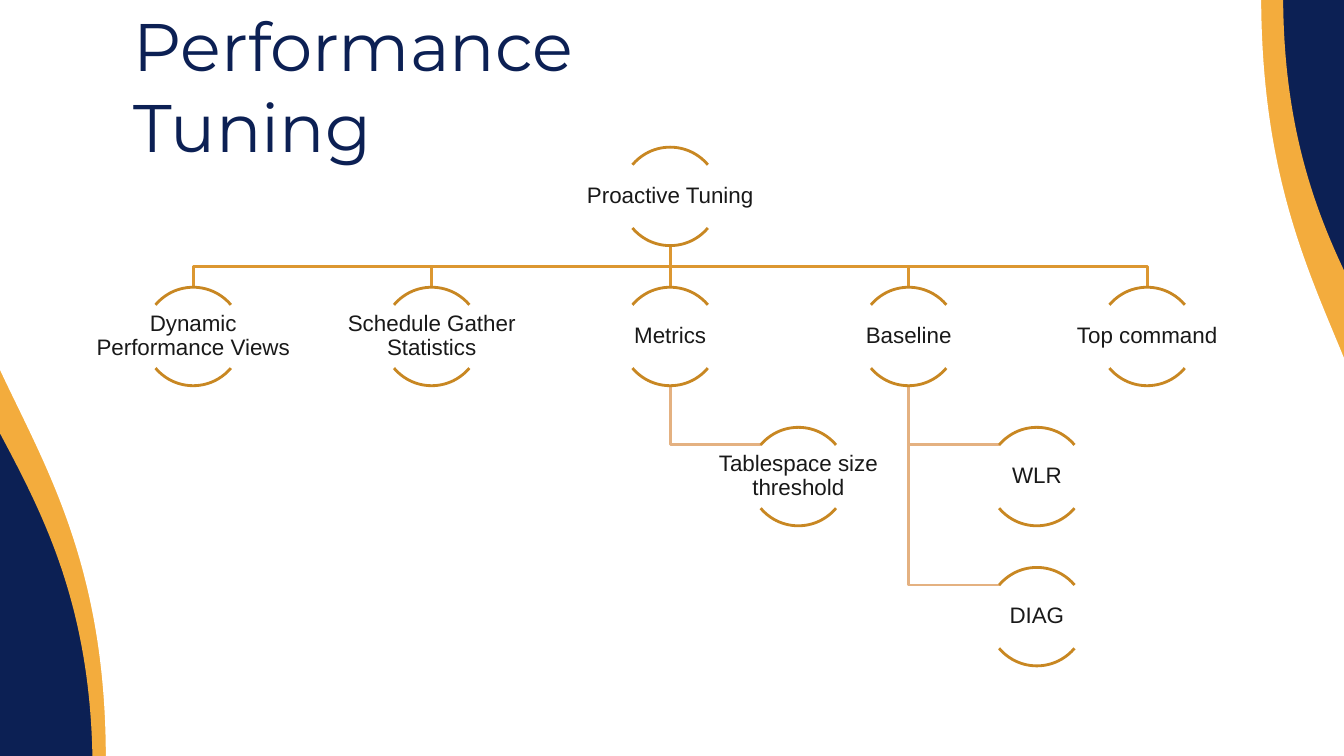
from dataclasses import dataclass

from pptx import Presentation
from pptx.dml.color import RGBColor
from pptx.enum.shapes import MSO_CONNECTOR, MSO_SHAPE as Preset
from pptx.enum.text import MSO_ANCHOR as Anchor, PP_ALIGN as Align
from pptx.oxml.ns import qn
from pptx.util import Cm, Pt
from lxml.etree import SubElement

TITLE = "Performance Tuning"
ROOT = "Proactive Tuning"
BRANCHES = [
    ("Dynamic Performance Views", []),
    ("Schedule Gather Statistics", []),
    ("Metrics", ["Tablespace size threshold"]),
    ("Baseline", ["WLR", "DIAG"]),
    ("Top command", []),
]


@dataclass(frozen=True)
class Theme:
    navy: str = "0C2054"
    gold: str = "F3AC3D"
    white: str = "FFFFFF"
    ink: str = "191919"
    arc: str = "C88722"
    branch_line: str = "DC9731"
    leaf_line: str = "E4B181"
    title_font: str = "Montserrat"
    body_font: str = "Arial"
    title_size: int = 48
    body_size: int = 16
    line_width: int = 2


THEME = Theme()

# Left, top, width, height in cm, then rotation and colour
WAVES = [
    (-0.58, -1.3, 19.25, 22.23, 90, THEME.gold),
    (16, -1.63, 19.25, 22.23, 270, THEME.gold),
    (16.92, 0.81, 19.25, 17.35, 270, THEME.white),
    (-0.97, -1.37, 19.96, 21.01, 90, THEME.white),
]

# Tree layout in cm
FIRST_CENTER, COLUMN_STEP = 4.87, 6.01
FIRST_TOP, ROW_STEP = 3.71, 3.53
CIRCLE = 2.48
LABEL_WIDTH, LABEL_HEIGHT = 4.98, 1.6
LABEL_DROP = (CIRCLE - LABEL_HEIGHT) / 2
LEAF_SHIFT, LEAF_LINE_LENGTH = 3.23, 2.29
ARC_ANGLES = [(132, 192), (24, 84)]  # start and end, upper then lower arc


def color(value):
    return RGBColor.from_string(value)


def set_line(shape, value):
    shape.line.color.rgb = color(value)
    shape.line.width = Pt(THEME.line_width)


def add_text(slide, text, left, top, width, height, *, font, size, ink,
             align=Align.LEFT, inset=0.02, spacing=1.0):
    box = slide.shapes.add_textbox(Cm(left), Cm(top), Cm(width), Cm(height))
    frame = box.text_frame
    frame.word_wrap = True
    frame.vertical_anchor = Anchor.MIDDLE
    frame.margin_left = frame.margin_right = Cm(inset)
    frame.margin_top = frame.margin_bottom = Cm(inset)
    paragraph = frame.paragraphs[0]
    paragraph.alignment = align
    paragraph.line_spacing = spacing
    run = paragraph.add_run()
    run.text = text
    run.font.name = font
    run.font.size = Pt(size)
    run.font.color.rgb = color(ink)


def add_wave(slide, left, top, width, height, rotation, fill):
    wave = slide.shapes.add_shape(Preset.FLOWCHART_DOCUMENT, Cm(left), Cm(top),
                                  Cm(width), Cm(height))
    wave.shadow.inherit = False
    wave.rotation = rotation
    wave.fill.solid()
    wave.fill.fore_color.rgb = color(fill)
    wave.line.fill.background()


def add_path(slide, points, line_color):
    """Draw a straight line for two points, an open bent line for more."""
    points = [(Cm(x), Cm(y)) for x, y in points]
    if len(points) == 2:
        path = slide.shapes.add_connector(MSO_CONNECTOR.STRAIGHT,
                                          *points[0], *points[1])
        set_line(path, line_color)
        SubElement(path.element.spPr, qn("a:effectLst"))
        return
    builder = slide.shapes.build_freeform(*points[0])
    builder.add_line_segments(points[1:], close=False)
    path = builder.convert_to_shape()
    path.shadow.inherit = False
    path.fill.background()
    set_line(path, line_color)


def add_node(slide, text, center, top):
    for angles in ARC_ANGLES:
        arc = slide.shapes.add_shape(Preset.ARC, Cm(center - CIRCLE / 2), Cm(top),
                                     Cm(CIRCLE), Cm(CIRCLE))
        arc.adjustments[0], arc.adjustments[1] = angles
        arc.shadow.inherit = False
        arc.fill.background()
        set_line(arc, THEME.arc)
    add_text(slide, text, center - LABEL_WIDTH / 2, top + LABEL_DROP,
             LABEL_WIDTH, LABEL_HEIGHT, font=THEME.body_font,
             size=THEME.body_size, ink=THEME.ink, align=Align.CENTER, spacing=0.9)


def add_tree(slide):
    root_center = FIRST_CENTER + COLUMN_STEP * (len(BRANCHES) - 1) / 2
    root_bottom = FIRST_TOP + CIRCLE
    branch_top = FIRST_TOP + ROW_STEP
    branch_bottom = branch_top + CIRCLE
    bus = (root_bottom + branch_top) / 2
    nodes = [(ROOT, root_center, FIRST_TOP)]
    branch_paths, leaf_paths = [], []

    for column, (branch, leaves) in enumerate(BRANCHES):
        center = FIRST_CENTER + column * COLUMN_STEP
        nodes.append((branch, center, branch_top))
        bends = [(root_center, bus), (center, bus)]
        if abs(center - root_center) < 0.01:
            bends = []
        branch_paths.append([(root_center, root_bottom), *bends,
                             (center, branch_top)])
        for row, leaf in enumerate(leaves, start=1):
            leaf_top = branch_top + row * ROW_STEP
            nodes.append((leaf, center + LEAF_SHIFT, leaf_top))
            level = leaf_top + LABEL_DROP
            leaf_paths.append([(center, branch_bottom), (center, level),
                               (center + LEAF_LINE_LENGTH, level)])

    for points in leaf_paths:
        add_path(slide, points, THEME.leaf_line)
    for points in branch_paths:
        add_path(slide, points, THEME.branch_line)
    for node in nodes:
        add_node(slide, *node)


def main():
    presentation = Presentation()
    presentation.slide_width, presentation.slide_height = Cm(33.87), Cm(19.05)
    slide = presentation.slides.add_slide(presentation.slide_layouts[6])
    slide.background.fill.solid()
    slide.background.fill.fore_color.rgb = color(THEME.navy)
    for wave in WAVES:
        add_wave(slide, *wave)
    add_text(slide, TITLE, 3.03, 1.25, 16.94, 1.78, font=THEME.title_font,
             size=THEME.title_size, ink=THEME.navy, inset=0.33)
    add_tree(slide)
    presentation.save("out.pptx")


if __name__ == "__main__":
    main()
